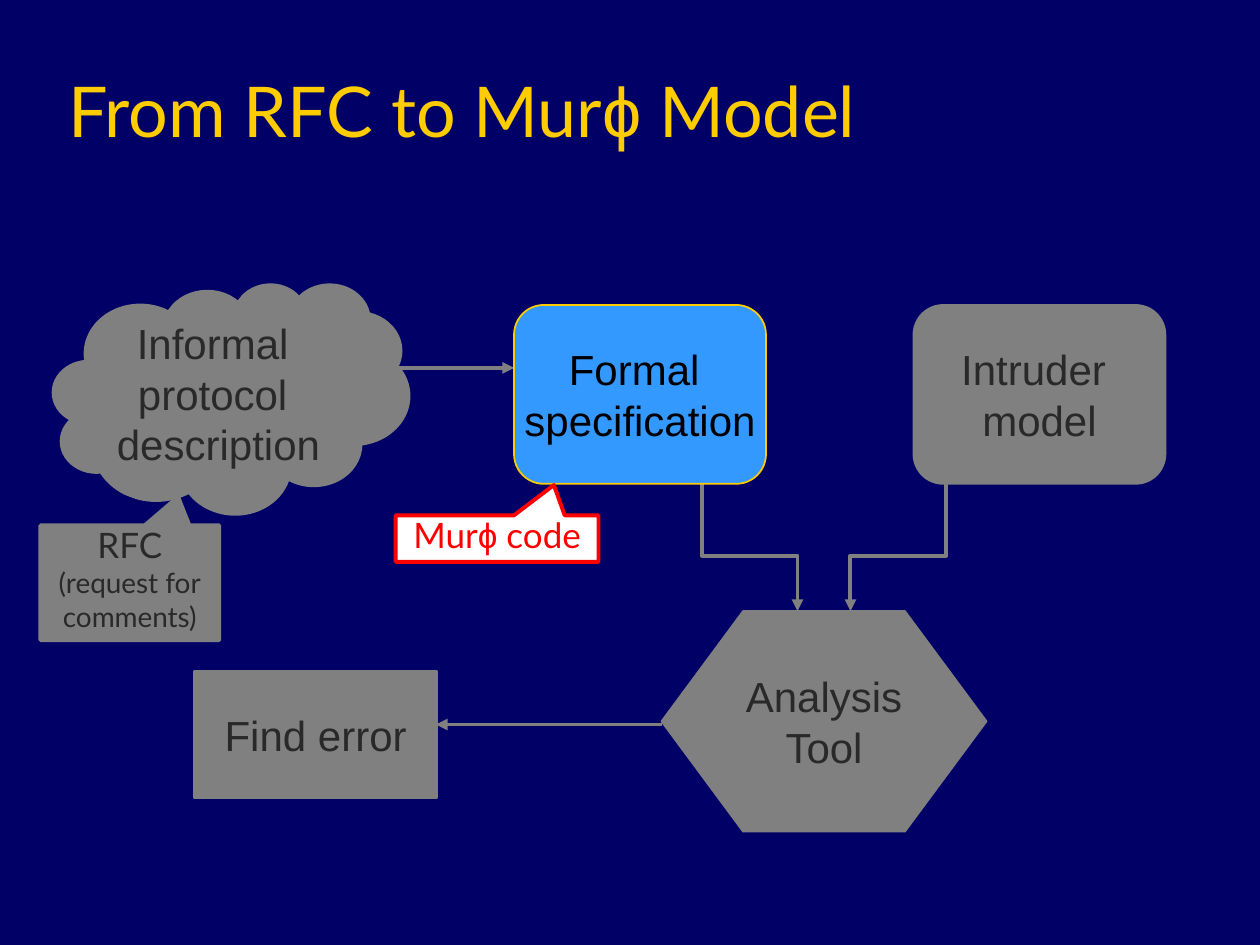
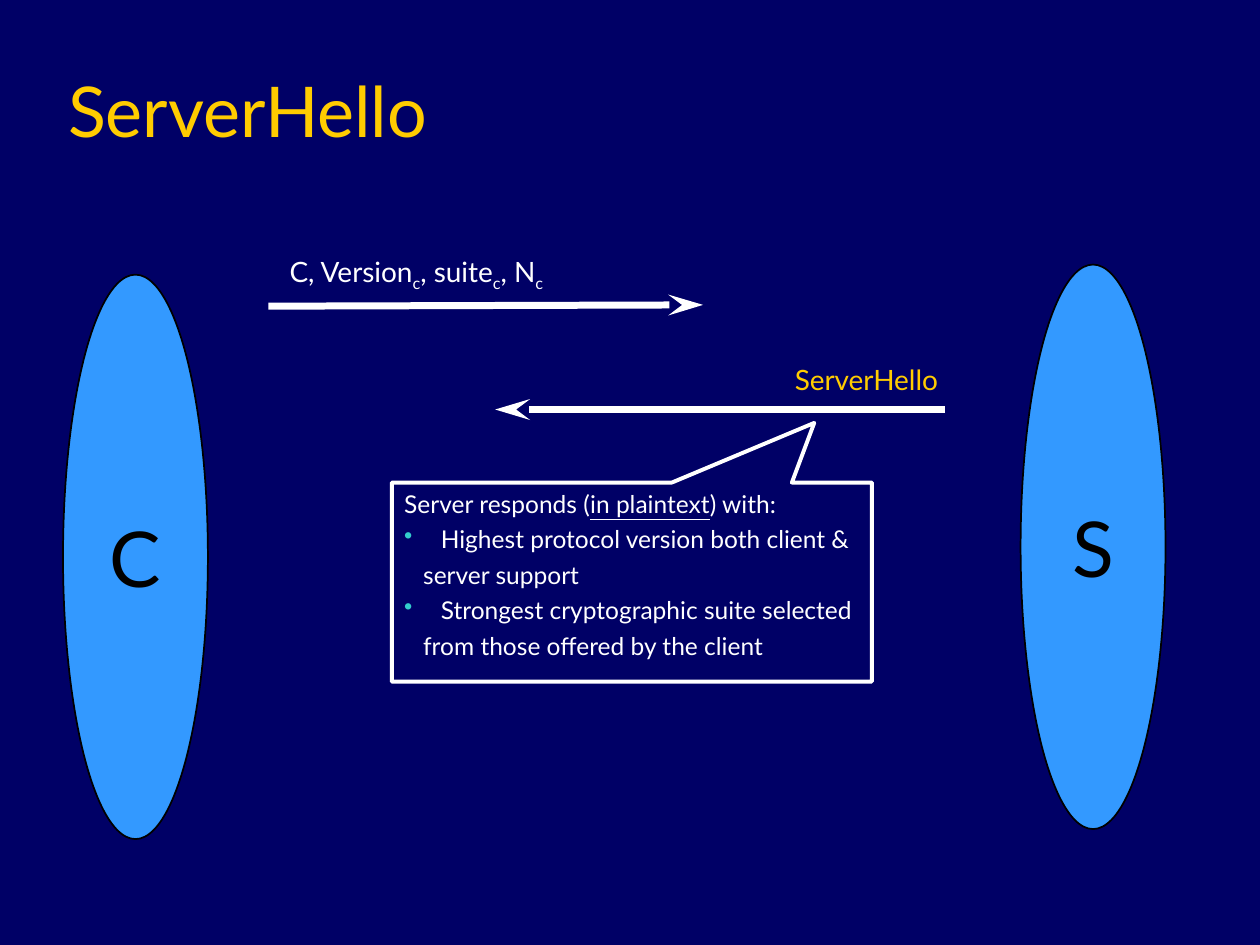
"""Builds two protocol analysis slides: a model diagram and a ServerHello exchange."""
from lxml import etree
from pptx import Presentation
from pptx import util as u
from pptx.dml import color
from pptx.enum import shapes, text
from pptx.oxml import ns

NAVY, GOLD, BLUE, GREY = "000066", "FFCC00", "3399FF", "808080"
DARK, BLACK, WHITE, RED, TEAL = "292929", "000000", "FFFFFF", "FF0000", "33CCCC"
KIND = shapes.MSO_SHAPE
TOP, MIDDLE = text.MSO_ANCHOR.TOP, text.MSO_ANCHOR.MIDDLE
LEFT, CENTER = text.PP_ALIGN.LEFT, text.PP_ALIGN.CENTER


def colour(hex_value):
    """Return the colour for a hex string."""
    return color.RGBColor.from_string(hex_value)


def write(frame, lines, size, ink, font="Lato", align=CENTER, anchor=MIDDLE,
          wrap=False, before=0, spacing=None, marked=None):
    """Write one paragraph per line; text between bars takes the marked format."""
    frame.word_wrap, frame.vertical_anchor = wrap, anchor
    for number, line in enumerate(lines):
        paragraph = frame.add_paragraph() if number else frame.paragraphs[0]
        paragraph.alignment, paragraph.line_spacing = align, spacing
        paragraph.space_before = u.Pt(before if number else 0)
        for position, part in enumerate(line.split("|")):
            run = paragraph.add_run()
            run.text = part
            run.font.color.rgb = colour(ink)
            values = {"size": u.Pt(size), "name": font}
            if position % 2:
                values.update(marked)
            for name, value in values.items():
                if name == "baseline":
                    run.font._element.set(name, value)
                else:
                    setattr(run.font, name, value)


phi = {"marked": {"name": "Arial"}}
step = {"size": 24, "ink": DARK, "font": "Arial"}
note = {"size": 20, "spacing": 0.8, "before": 4, "anchor": TOP}
party = {"size": 44, "ink": BLACK}
label = {"size": 16, "anchor": TOP, "wrap": True}

model_slide = {
    "title": "From RFC to Mur|ϕ| Model",
    "arrow": {"ink": GREY, "width": 2.25, "type": "triangle", "len": "med"},
    "routes": [
        [(5.57, 3.84), (5.57, 4.41), (6.33, 4.41), (6.33, 4.85)],
        [(7.51, 3.84), (7.51, 4.41), (6.75, 4.41), (6.75, 4.85)],
        [(2.92, 2.92), (4.08, 2.92)],
        [(5.25, 5.75), (3.46, 5.75)],
    ],
    "nodes": [
        (KIND.FLOWCHART_ALTERNATE_PROCESS, (7.25, 2.42, 2, 1.42), [], GREY, GREY, 1,
         ["Intruder ", "model"], step),
        (KIND.HEXAGON, (5.25, 4.85, 2.58, 1.75), [0.37], GREY, GREY, 1,
         ["Analysis", "Tool"], step),
        (KIND.FLOWCHART_ALTERNATE_PROCESS, (4.08, 2.42, 2, 1.42), [], BLUE, GOLD, 1,
         ["Formal ", "specification"], {**step, "ink": BLACK}),
        (KIND.CLOUD_CALLOUT, (0.42, 2.25, 2.83, 1.83), [-0.53, 0.7], GREY, GREY, 1,
         ["Informal ", "protocol ", "description"], step),
        (KIND.OVAL, (0.08, 3.89, 1.25, 0.75), [], NAVY, None, 0, [], step),
        (KIND.RECTANGLE, (1.55, 5.33, 1.91, 1), [], GREY, GREY, 2.25,
         ["Find error"], step),
        (KIND.RECTANGULAR_CALLOUT, (0.32, 4.17, 1.42, 0.91), [0.27, -0.75], GREY, GREY, 2.25,
         ["RFC", "(request for", "comments)"], {**note, "ink": DARK}),
        (KIND.RECTANGULAR_CALLOUT, (3.14, 4.09, 1.61, 0.37), [0.28, -1.15], WHITE, RED, 2.25,
         ["Mur|ϕ| code"], {**note, **phi, "ink": RED}),
    ],
}
hello_slide = {
    "title": "ServerHello",
    "arrow": {"ink": WHITE, "width": 4, "type": "stealth", "len": "lg"},
    "routes": [[(2.13, 2.43), (5.58, 2.42)], [(7.5, 3.25), (3.93, 3.25)]],
    "nodes": [
        (KIND.OVAL, (0.5, 2.18, 1.15, 4.48), [], BLUE, BLACK, 1, ["C"], party),
        (None, (2.14, 1.97, 2.33, 0.41), [], None, None, 0,
         ["C, Version|c|, suite|c|, N|c"],
         {**label, "ink": WHITE, "marked": {"baseline": "-25000"}}),
        (None, (6.21, 2.83, 1.4, 0.37), [], None, None, 0,
         ["ServerHello"], {**label, "ink": GOLD, "align": LEFT}),
        (KIND.OVAL, (8.1, 2.1, 1.15, 4.48), [], BLUE, BLACK, 1, ["S"], party),
        (KIND.RECTANGULAR_CALLOUT, (3.11, 3.83, 3.81, 1.58), [0.38, -0.8], None, WHITE, 2.25,
         ["Server responds (|in plaintext|) with:",
          "Highest protocol version both client &", "server support",
          "Strongest cryptographic suite selected", "from those offered by the client"],
         {**label, "size": 14, "ink": WHITE, "align": LEFT, "before": 3.5,
          "marked": {"underline": True}}),
    ],
}

presentation = Presentation()
presentation.slide_width, presentation.slide_height = u.Inches(10), u.Inches(7.5)
background = presentation.slide_master.background.fill
background.solid()
background.fore_color.rgb = colour(NAVY)

for content in (model_slide, hello_slide):
    slide = presentation.slides.add_slide(presentation.slide_layouts[5])
    title = slide.shapes.title
    title.left, title.top, title.width, title.height = map(u.Inches, (0.44, 0.25, 8.5, 1))
    write(title.text_frame, [content["title"]], 40, GOLD, align=LEFT,
          anchor=text.MSO_ANCHOR.BOTTOM, wrap=True, **phi)

    arrow = content["arrow"]
    for route in content["routes"]:
        points = [(u.Inches(x), u.Inches(y)) for x, y in route]
        if len(points) == 2:
            shape = slide.shapes.add_connector(
                shapes.MSO_CONNECTOR.STRAIGHT, *points[0], *points[1])
        else:
            builder = slide.shapes.build_freeform(*points[0])
            builder.add_line_segments(points[1:], close=False)
            shape = builder.convert_to_shape()
            shape.fill.background()
        shape.line.color.rgb = colour(arrow["ink"])
        shape.line.width = u.Pt(arrow["width"])
        properties = shape._element.spPr
        etree.SubElement(properties.find(ns.qn("a:ln")), ns.qn("a:tailEnd"),
                         type=arrow["type"], w="med", len=arrow["len"])
        etree.SubElement(properties, ns.qn("a:effectLst"))

    for kind, box, adjustments, fill, line, width, lines, format_values in content["nodes"]:
        place = [u.Inches(length) for length in box]
        if kind is None:
            shape = slide.shapes.add_textbox(*place)
        else:
            shape = slide.shapes.add_shape(kind, *place)
            shape.shadow.inherit = False
            for index, value in enumerate(adjustments):
                shape.adjustments[index] = value
            if fill:
                shape.fill.solid()
                shape.fill.fore_color.rgb = colour(fill)
            else:
                shape.fill.background()
            if line:
                shape.line.color.rgb = colour(line)
                shape.line.width = u.Pt(width)
            else:
                shape.line.fill.background()
        write(shape.text_frame, lines, **format_values)
        if lines[:1] == ["RFC"]:
            for paragraph in shape.text_frame.paragraphs[1:]:
                paragraph.runs[0].font.size = u.Pt(16)

for number, paragraph in enumerate(shape.text_frame.paragraphs[1:]):
    properties = paragraph._p.get_or_add_pPr()
    if number % 2:
        properties.set("marL", str(u.Inches(0.15)))
        properties.set("indent", "0")
    else:
        properties.set("marL", str(u.Inches(0.29)))
        properties.set("indent", str(u.Inches(-0.29)))
        bullet_colour = etree.SubElement(properties, ns.qn("a:buClr"))
        etree.SubElement(bullet_colour, ns.qn("a:srgbClr"), val=TEAL)
        etree.SubElement(properties, ns.qn("a:buChar"), char="•")

presentation.save("out.pptx")
